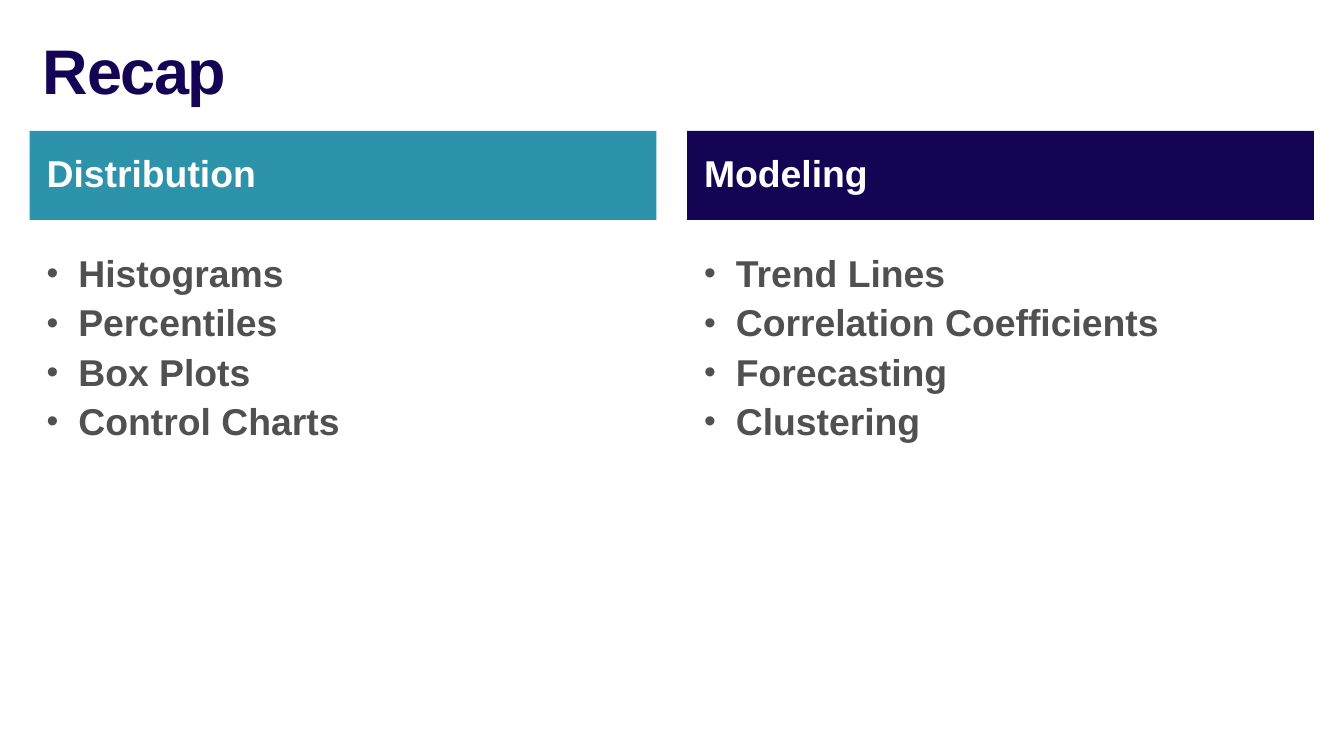
from lxml.etree import SubElement
from pptx import Presentation
from pptx.dml.color import RGBColor
from pptx.enum.shapes import MSO_SHAPE
from pptx.enum.text import MSO_ANCHOR, PP_ALIGN
from pptx.oxml.ns import qn
from pptx.util import Cm, Pt

NAVY, TEAL, GRAY, WHITE = "150454", "2D93AA", "505050", "FFFFFF"
COLUMN_WIDTH = 18.95
COLUMN_STEP = 19.88
TOPICS = [
    ("Distribution", TEAL,
     ["Histograms", "Percentiles", "Box Plots", "Control Charts"]),
    ("Modeling", NAVY,
     ["Trend Lines", "Correlation Coefficients", "Forecasting", "Clustering"]),
]


def rgb(value):
    return RGBColor.from_string(value)


def add_bullet(paragraph):
    properties = paragraph._p.get_or_add_pPr()
    properties.set("marL", str(Cm(0.96)))
    properties.set("indent", str(-Cm(0.96)))
    SubElement(properties, qn("a:buSzPct")).set("val", "90000")
    SubElement(properties, qn("a:buFont")).set("typeface", "Arial")
    SubElement(properties, qn("a:buChar")).set("char", "•")


def write_text(shape, lines, size=32, color=GRAY, left=0.51, top=0,
               anchor=MSO_ANCHOR.TOP, bullets=False, tracking=None):
    frame = shape.text_frame
    frame.word_wrap = True
    frame.vertical_anchor = anchor
    frame.margin_left, frame.margin_right = Cm(left), Cm(0.41)
    frame.margin_top = frame.margin_bottom = Cm(top)
    for index, line in enumerate(lines):
        paragraph = frame.add_paragraph() if index else frame.paragraphs[0]
        paragraph.alignment = PP_ALIGN.LEFT
        paragraph.line_spacing = 0.9
        if index:
            paragraph.space_before = Pt(7.7)
        if bullets:
            add_bullet(paragraph)
        run = paragraph.add_run()
        run.text = line
        run.font.name = "Arial"
        run.font.size = Pt(size)
        run.font.bold = True
        run.font.color.rgb = rgb(color)
        if tracking:
            run._r.get_or_add_rPr().set("spc", str(tracking))


def add_title(slide, title):
    box = slide.shapes.add_textbox(Cm(0.89), Cm(0.97), Cm(38.86), Cm(3))
    write_text(box, [title], size=54, color=NAVY, left=0.41, top=0.25,
               tracking=-120)


def add_heading(slide, heading, fill, left):
    band = slide.shapes.add_shape(
        MSO_SHAPE.RECTANGLE, Cm(left), Cm(3.96), Cm(COLUMN_WIDTH), Cm(2.69))
    band.shadow.inherit = False
    band.fill.solid()
    band.fill.fore_color.rgb = rgb(fill)
    band.line.fill.background()
    write_text(band, [heading], color=WHITE, anchor=MSO_ANCHOR.MIDDLE)


def add_topic_list(slide, topics, left):
    box = slide.shapes.add_textbox(
        Cm(left), Cm(7.72), Cm(COLUMN_WIDTH), Cm(13.18))
    write_text(box, topics, bullets=True)


def main():
    presentation = Presentation()
    presentation.slide_width, presentation.slide_height = Cm(40.64), Cm(22.86)
    slide = presentation.slides.add_slide(presentation.slide_layouts[6])
    add_title(slide, "Recap")
    for column, (heading, fill, topics) in enumerate(TOPICS):
        left = 0.9 + column * COLUMN_STEP
        add_heading(slide, heading, fill, left)
        add_topic_list(slide, topics, left)
    presentation.save("out.pptx")


if __name__ == "__main__":
    main()
